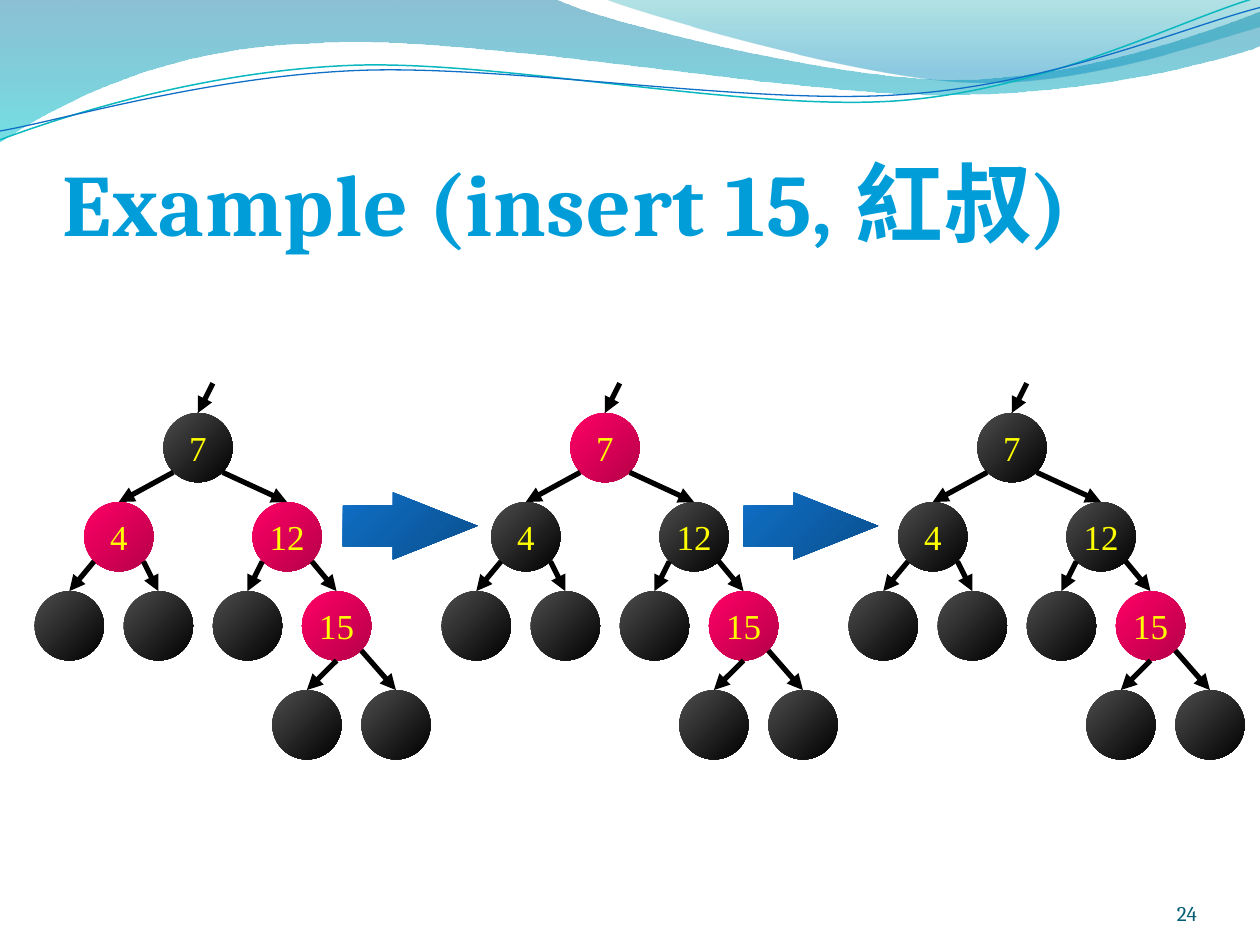
"""Draw three stages of a red-black tree insertion under a wavy header."""
from lxml.etree import SubElement
from pptx import Presentation
from pptx.dml.color import RGBColor
from pptx.enum.shapes import MSO_CONNECTOR, MSO_SHAPE
from pptx.enum.text import MSO_ANCHOR, PP_ALIGN
from pptx.oxml.ns import qn
from pptx.util import Inches, Pt

BLACK = RGBColor(0x00, 0x00, 0x00)
GREY = RGBColor(0x4D, 0x4D, 0x4D)
RED = RGBColor(0xFF, 0x00, 0x66)
YELLOW = RGBColor(0xFF, 0xFF, 0x00)
BLUE = RGBColor(0x0F, 0x6F, 0xC6)
TEAL = RGBColor(0x0A, 0xB8, 0xBF)
SKY = RGBColor(0x00, 0x9D, 0xD9)
SLATE = RGBColor(0x04, 0x5D, 0x75)
WAVE = (RGBColor(0x00, 0x74, 0xA1), RGBColor(0x00, 0xC6, 0xCF))
CREST = (RGBColor(0x00, 0xA1, 0xA9), RGBColor(0x00, 0x8B, 0xBF))


def write(shape, words, size, color, face="Cambria", bold=False, align=PP_ALIGN.LEFT,
          anchor=MSO_ANCHOR.BOTTOM, wrap=True, top=0, track=0):
    frame = shape.text_frame
    frame.word_wrap = wrap
    frame.vertical_anchor = anchor
    frame.margin_left = frame.margin_right = frame.margin_bottom = 0
    frame.margin_top = top
    line = frame.paragraphs[0]
    line.alignment = align
    run = line.add_run()
    run.text = words
    run.font.size, run.font.name = Pt(size), face
    run.font.bold, run.font.color.rgb = bold, color
    if track:
        run.font._element.set("spc", str(track))


def shade(shape, colors, angle, ends=(0, 1), kind="shade", rates=(100, 46)):
    shape.shadow.inherit = False
    shape.line.fill.background()
    shape.fill.gradient()
    shape.fill.gradient_angle = angle
    for stop, color, end in zip(shape.fill.gradient_stops, colors, ends):
        stop.color.rgb, stop.position = color, end
    for tag, rate in zip(shape._element.spPr.iter(qn("a:srgbClr")), rates):
        if rate < 100:
            SubElement(tag, qn("a:" + kind), val=str(rate * 1000))


deck = Presentation()
deck.slide_width, deck.slide_height = Inches(10), Inches(7.5)
W, H = deck.slide_width, deck.slide_height
slide = deck.slides.add_slide(deck.slide_layouts[6])
shapes = slide.shapes

unit = W / 1000
bands = [
    ((0, 0), [(440, -1), (476, 17, 664, 63, 758, 63), (853, 63, 958, 26, 1000, 9),
              (1001, 36), (983, 44, 870, 76, 746, 75), (622, 75, 382, 28, 257, 34),
              (129, 36, 46, 83, -1, 113)], WAVE, (0, 1), (45, 55)),
    ((479, -1), [(509, 11, 682, 62, 769, 65), (856, 69, 961, 32, 1000, 21),
                 (1000, 0)], CREST, (0, 0.8), (30, 45)),
    ((0, 111), [(48, 93, 158, 57, 277, 52), (395, 47, 593, 89, 713, 80),
                (833, 71, 938, 15, 998, -2)], TEAL, 0.85, None),
    ((0, 104), [(47, 96, 164, 61, 283, 56), (403, 51, 597, 84, 717, 75),
                (836, 67, 941, 21, 1000, 6)], BLUE, 0.75, None),
]
for start, parts, color, size, rates in bands:
    dots = [(part[i] * unit, part[i + 1] * unit)
            for part in parts for i in range(0, len(part), 2)]
    form = shapes.build_freeform(start[0] * unit, start[1] * unit)
    form.add_line_segments(dots, close=bool(rates))
    band = form.convert_to_shape()
    legs = iter(list(band._element.iter(qn("a:lnTo"))))
    for part in parts:
        leg = next(legs)
        if len(part) == 6:
            curve = leg.getparent().makeelement(qn("a:cubicBezTo"))
            leg.addprevious(curve)
            for item in (leg, next(legs), next(legs)):
                curve.append(item[0])
                item.getparent().remove(item)
    if rates:
        shade(band, color, 270, size, "alpha", rates)
    else:
        band.shadow.inherit = False
        band.fill.background()
        band.line.color.rgb, band.line.width = color, Pt(size)

page = shapes.add_textbox(round(W * 0.867), round(H * 0.927), round(W * 0.083), round(H * 0.053))
write(page, "24", 12, SLATE, align=PP_ALIGN.RIGHT)
title = shapes.add_textbox(round(W * 0.05), round(H * 0.102), round(W * 0.9), round(H * 0.167))
write(title, "Example (insert 15, 紅叔)", 50, SKY, bold=True, top=Inches(0.05), track=50)

side = Inches(0.55)
cell = side / 7
left, top, pitch = W * 0.055, H * 0.437, W * 0.323
nodes = [("7", 13, 0), ("4", 5, 9), ("12", 22, 9), ("15", 27, 18), ("", 0, 18),
         ("", 9, 18), ("", 18, 18), ("", 24, 28), ("", 33, 28)]
edges = [(14.5, -3, 13, 0), (10.5, 6, 5, 9), (15.5, 6, 22, 9), (2.5, 15, 0, 18),
         (7.5, 15, 9, 18), (19.5, 15, 18, 18), (24.5, 15, 27, 18),
         (27, 25, 24, 28), (29.5, 24, 33, 28)]
stages = [("4", "12", "15"), ("7", "15"), ("15",)]
for stage, reds in enumerate(stages):
    base = left + stage * pitch
    for key, col, row in nodes:
        node = shapes.add_shape(MSO_SHAPE.OVAL, round(base + col * cell - side / 2),
                                round(top + row * cell), side, side)
        shade(node, (RED, RED) if key in reds else (GREY, BLACK), 315)
        if key:
            write(node, key, 20, YELLOW, face="Times New Roman", align=PP_ALIGN.CENTER,
                  anchor=MSO_ANCHOR.MIDDLE, wrap=False)
    for x1, y1, x2, y2 in edges:
        edge = shapes.add_connector(MSO_CONNECTOR.STRAIGHT,
                                    round(base + x1 * cell), round(top + y1 * cell),
                                    round(base + x2 * cell), round(top + y2 * cell))
        edge.line.color.rgb, edge.line.width = BLACK, Pt(3)
        SubElement(edge.line._get_or_add_ln(), qn("a:tailEnd"), type="triangle")
        SubElement(edge._element.spPr, qn("a:effectLst"))

for turn in range(2):
    arrow = shapes.add_shape(MSO_SHAPE.RIGHT_ARROW, round(W * (0.272 + turn * 0.318)),
                             round(H * 0.521), round(W * 0.107), round(H * 0.071))
    arrow.adjustments[0], arrow.adjustments[1] = 0.61, 1.26
    shade(arrow, (BLUE, BLUE), 315)

deck.save("out.pptx")
